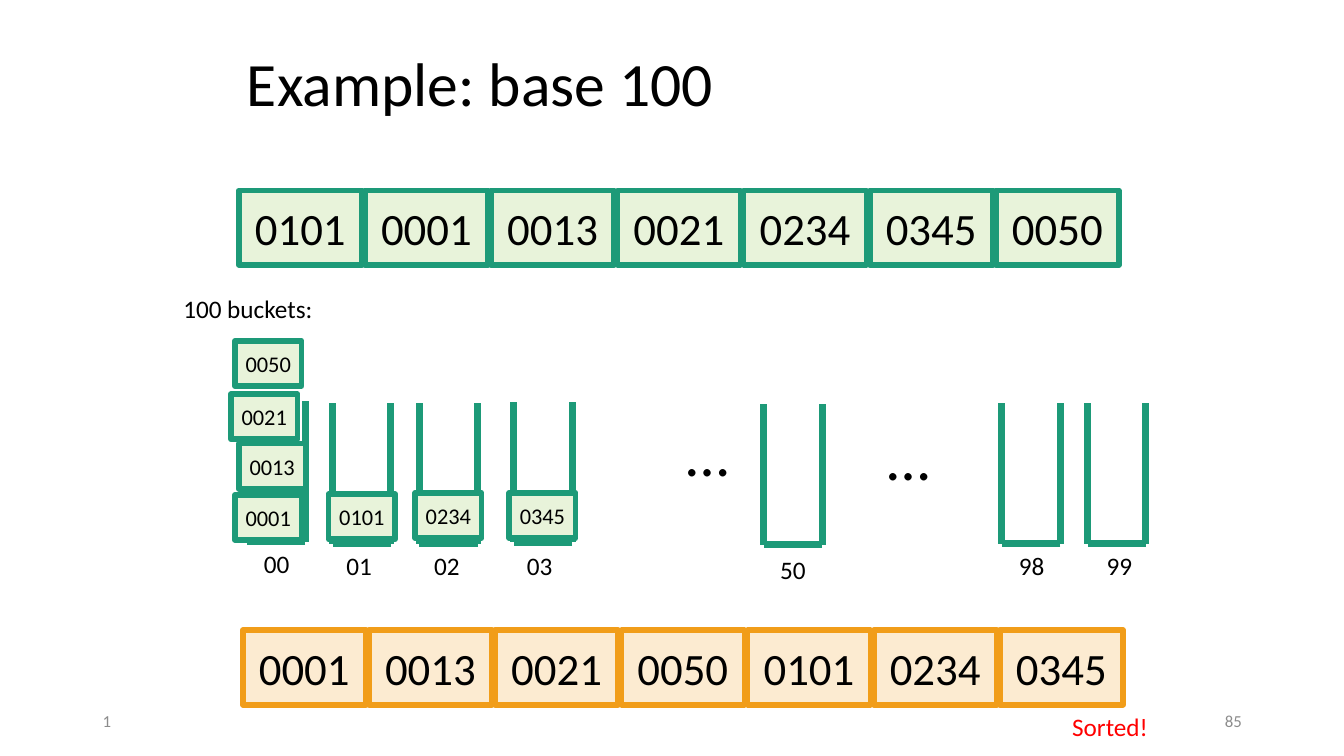
from pptx import Presentation
from pptx import util as u
from pptx.dml.color import RGBColor
from pptx.enum import shapes, text
from pptx.oxml.ns import qn
from lxml import etree

GREEN = RGBColor(0x1D, 0x9A, 0x78)
PALE_GREEN = RGBColor(0xE8, 0xF3, 0xDA)
ORANGE = RGBColor(0xF1, 0x9D, 0x19)
PALE_ORANGE = RGBColor(0xFC, 0xEB, 0xD1)
BLACK = RGBColor(0, 0, 0)
RED = RGBColor(0xFF, 0, 0)
GRAY = RGBColor(0x8C, 0x8C, 0x8C)

# Content: lengths in centimetres
TITLE = "Example: base 100"
ROWS = [  # left, top, fill, outline, values
    (6.02, 4.8, PALE_GREEN, GREEN,
     ["0101", "0001", "0013", "0021", "0234", "0345", "0050"]),
    (6.12, 15.88, PALE_ORANGE, ORANGE,
     ["0001", "0013", "0021", "0050", "0101", "0234", "0345"]),
]
BUCKETS = [  # left, top, label, label left, label top
    (6.22, 10.11, "00", 6.4, 13.69),
    (8.38, 10.16, "01", 8.48, 13.74),
    (10.57, 10.16, "02", 10.69, 13.74),
    (12.95, 10.13, "03", 13.03, 13.74),
    (19.25, 10.19, "50", 19.41, 13.84),
    (25.25, 10.16, "98", 25.43, 13.74),
    (27.41, 10.16, "99", 27.64, 13.74),
]
ITEMS = [  # value, left, top
    ("0001", 5.92, 12.47), ("0013", 6.02, 11.18),
    ("0021", 5.82, 9.93), ("0050", 5.92, 8.59),
    ("0101", 8.28, 12.45), ("0234", 10.46, 12.42), ("0345", 12.83, 12.42),
]
NOTES = [  # text, left, top, width, height, size, colour
    ("100 buckets:", 4.37, 7.26, 3.89, 1.02, 18, BLACK),
    ("…", 17.04, 10.34, 2.72, 2.13, 44, BLACK),
    ("…", 22.12, 10.44, 2.72, 2.13, 44, BLACK),
    ("Sorted!", 26.77, 17.81, 5.69, 1.02, 18, RED),
]
FOOTERS = [  # text, left, alignment
    ("1", 2.34, text.PP_ALIGN.LEFT),
    ("85", 23.93, text.PP_ALIGN.RIGHT),
]

CELL_PITCH, CELL_WIDTH, CELL_HEIGHT = 3.18, 3.1, 1.88
ITEM_WIDTH, ITEM_HEIGHT = 1.68, 1.14
BUCKET_WIDTH, BUCKET_HEIGHT = 1.47, 3.54

presentation = Presentation()
presentation.slide_width = u.Cm(33.87)
presentation.slide_height = u.Cm(19.05)
slide = presentation.slides.add_slide(presentation.slide_layouts[5])


def place(shape, left, top, width, height):
    shape.left, shape.top = u.Cm(left), u.Cm(top)
    shape.width, shape.height = u.Cm(width), u.Cm(height)


def write(shape, words, size, color=BLACK, align=text.PP_ALIGN.LEFT,
          anchor=text.MSO_ANCHOR.MIDDLE, wrap=True):
    frame = shape.text_frame
    frame.text = words
    frame.word_wrap = wrap
    frame.vertical_anchor = anchor
    paragraph = frame.paragraphs[0]
    paragraph.alignment = align
    paragraph.font.size = u.Pt(size)
    paragraph.font.name = "Calibri"
    paragraph.font.color.rgb = color
    return paragraph


def add_label(words, left, top, width, height, size, color=BLACK, **layout):
    box = slide.shapes.add_textbox(u.Cm(left), u.Cm(top), u.Cm(width), u.Cm(height))
    write(box, words, size, color, **layout)


def add_cell(words, left, top, width, height, size, fill, outline):
    cell = slide.shapes.add_shape(shapes.MSO_SHAPE.RECTANGLE, u.Cm(left), u.Cm(top),
                                  u.Cm(width), u.Cm(height))
    cell.shadow.inherit = False
    cell.fill.solid()
    cell.fill.fore_color.rgb = fill
    cell.line.color.rgb = outline
    cell.line.width = u.Pt(4)
    write(cell, words, size, align=text.PP_ALIGN.CENTER, wrap=False)


def add_bucket(left, top):
    right, bottom = left + BUCKET_WIDTH, top + BUCKET_HEIGHT
    sides = [(left, top, left, bottom), (right, top, right, bottom),
             (right, bottom, left, bottom)]
    for side in sides:
        line = slide.shapes.add_connector(shapes.MSO_CONNECTOR.STRAIGHT,
                                          *[u.Cm(value) for value in side])
        line.line.color.rgb = GREEN
        line.line.width = u.Pt(5)
        etree.SubElement(line._element.spPr, qn("a:effectLst"))


# Title
title = slide.shapes.title
place(title, 5.97, 1.02, 21.89, 2.31)
write(title, TITLE, 44).line_spacing = 0.9

# Buckets with their labels
for left, top, label, label_left, label_top in BUCKETS:
    add_bucket(left, top)
    add_label(label, label_left, label_top, 1.35, 1.02, 18,
              anchor=text.MSO_ANCHOR.TOP)

# Numbers dropped into buckets
for value, left, top in ITEMS:
    add_cell(value, left, top, ITEM_WIDTH, ITEM_HEIGHT, 16, PALE_GREEN, GREEN)

# Input row and sorted row
for left, top, fill, outline, values in ROWS:
    for column, value in enumerate(values):
        add_cell(value, left + column * CELL_PITCH, top, CELL_WIDTH, CELL_HEIGHT,
                 32, fill, outline)

# Captions and footers
for note in NOTES:
    add_label(*note, anchor=text.MSO_ANCHOR.TOP)
for words, left, align in FOOTERS:
    add_label(words, left, 17.65, 7.62, 1.02, 12, GRAY, align=align)

presentation.save("out.pptx")
